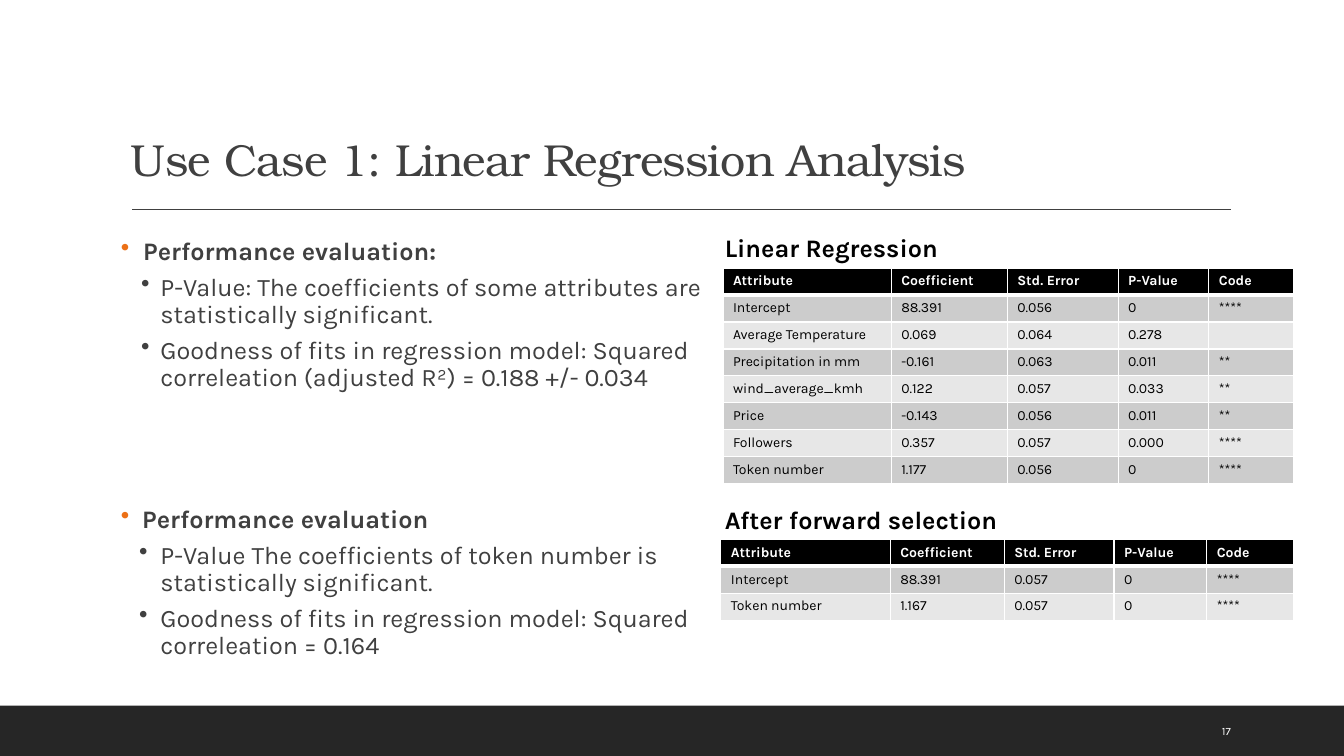
from lxml import etree
from pptx import Presentation
from pptx.dml.color import RGBColor
from pptx.enum.shapes import MSO_CONNECTOR, MSO_SHAPE
from pptx.enum.text import MSO_ANCHOR as Anchor
from pptx.oxml.ns import qn
from pptx.util import Inches, Pt

COLORS = {
    "text": "404040", "black": "000000", "white": "FFFFFF", "footer": "262626",
    "bullet": "EC7016", "dark_row": "CCCCCC", "light_row": "E7E7E7",
}
BODY_FONT = "Karla"
TITLE_FONT = "TeX Gyre Bonum"

HEADER = ["Attribute", "Coefficient", "Std. Error", "P-Value", "Code"]
REGRESSION_ROWS = [
    HEADER,
    ["Intercept", "88.391", "0.056", "0", "****"],
    ["Average Temperature", "0.069", "0.064", "0.278", ""],
    ["Precipitation in mm", "-0.161", "0.063", "0.011", "**"],
    ["wind_average_kmh", "0.122", "0.057", "0.033", "**"],
    ["Price", "-0.143", "0.056", "0.011", "**"],
    ["Followers", "0.357", "0.057", "0.000", "****"],
    ["Token number", "1.177", "0.056", "0", "****"],
]
SELECTION_ROWS = [
    HEADER,
    ["Intercept", "88.391", "0.057", "0", "****"],
    ["Token number", "1.167", "0.057", "0", "****"],
]


def rgb(name):
    return RGBColor.from_string(COLORS[name])


def add_run(paragraph, text, size, color, bold=False, font=BODY_FONT):
    run = paragraph.add_run()
    run.text = text
    run.font.name = font
    run.font.size = Pt(size)
    run.font.bold = bold
    run.font.color.rgb = rgb(color)
    return run


def add_text_frame(slide, left, top, width, height, anchor=Anchor.TOP):
    box = slide.shapes.add_textbox(Inches(left), Inches(top), Inches(width), Inches(height))
    frame = box.text_frame
    frame.word_wrap = True
    frame.vertical_anchor = anchor
    return frame


def add_label(slide, text, left, top, width, size, color, bold=False, anchor=Anchor.TOP):
    frame = add_text_frame(slide, left, top, width, 0.4, anchor)
    add_run(frame.paragraphs[0], text, size, color, bold)


def add_title(slide, text):
    frame = add_text_frame(slide, 1.2, 0.31, 11, 1.59, Anchor.BOTTOM)
    paragraph = frame.paragraphs[0]
    paragraph.line_spacing = 0.9
    run = add_run(paragraph, text, 32, "text", font=TITLE_FONT)
    run.font._element.set("spc", "-50")


def set_bullet(paragraph, margin, hanging, color):
    properties = paragraph._p.get_or_add_pPr()
    properties.set("marL", str(Inches(margin)))
    properties.set("indent", str(-Inches(hanging)))
    bullet_color = etree.SubElement(properties, qn("a:buClr"))
    etree.SubElement(bullet_color, qn("a:srgbClr"), val=COLORS[color])
    etree.SubElement(properties, qn("a:buChar"), char="•")


def add_bullets(slide, top, heading, points, heading_indent, point_hanging):
    frame = add_text_frame(slide, 1.2, top, 5.89, 1.6)
    frame.margin_left = frame.margin_right = 0
    for index, text in enumerate([heading, *points]):
        is_heading = index == 0
        paragraph = frame.paragraphs[0] if is_heading else frame.add_paragraph()
        if is_heading:
            set_bullet(paragraph, heading_indent, heading_indent, "bullet")
        else:
            paragraph.level = 1
            set_bullet(paragraph, 0.39, point_hanging, "text")
        paragraph.line_spacing = 0.9
        paragraph.space_after = Pt(6)
        add_run(paragraph, text, 18, "text", is_heading)


def set_borders(cell, row_index):
    # The rule under the header row is thicker than the rest
    widths = {"L": 1, "R": 1, "T": 3 if row_index == 1 else 1, "B": 3 if row_index == 0 else 1}
    properties = cell._tc.get_or_add_tcPr()
    for side, width in widths.items():
        line = etree.SubElement(properties, qn(f"a:ln{side}"), w=str(Pt(width)))
        fill = etree.SubElement(line, qn("a:solidFill"))
        etree.SubElement(fill, qn("a:srgbClr"), val=COLORS["white"])


def fill_cell(cell, text, row_index):
    is_header = row_index == 0
    set_borders(cell, row_index)
    cell.fill.solid()
    cell.fill.fore_color.rgb = rgb(
        "black" if is_header else "dark_row" if row_index % 2 else "light_row")
    paragraph = cell.text_frame.paragraphs[0]
    if text:
        add_run(paragraph, text, 10, "white" if is_header else "black", is_header)
    else:
        # Keeps an empty cell from stretching its row
        etree.SubElement(paragraph._p, qn("a:endParaRPr"), sz="1000")


def add_result_table(slide, rows, left, top, height, column_widths):
    table = slide.shapes.add_table(
        len(rows), len(column_widths), Inches(left), Inches(top),
        Inches(sum(column_widths)), Inches(height)).table
    for column, width in zip(table.columns, column_widths):
        column.width = Inches(width)
    for row_index, values in enumerate(rows):
        for column_index, text in enumerate(values):
            fill_cell(table.cell(row_index, column_index), text, row_index)


def add_footer_bar(slide):
    bar = slide.shapes.add_shape(
        MSO_SHAPE.RECTANGLE, 0, Inches(7), Inches(13.33), Inches(0.5))
    bar.shadow.inherit = False
    bar.fill.solid()
    bar.fill.fore_color.rgb = rgb("footer")
    bar.line.fill.background()


def add_title_rule(slide):
    rule = slide.shapes.add_connector(
        MSO_CONNECTOR.STRAIGHT, Inches(1.31), Inches(2.08), Inches(12.21), Inches(2.08))
    rule.line.color.rgb = rgb("text")
    rule.line.width = Pt(1)
    etree.SubElement(rule._element.spPr, qn("a:effectLst"))


def main():
    presentation = Presentation()
    presentation.slide_width = Inches(13.33)
    presentation.slide_height = Inches(7.5)
    slide = presentation.slides.add_slide(presentation.slide_layouts[6])

    # Frame and title
    add_footer_bar(slide)
    add_title_rule(slide)
    add_title(slide, "Use Case 1: Linear Regression Analysis")

    # Evaluation notes
    add_bullets(slide, 2.32, "Performance evaluation:", [
        "P-Value: The coefficients of some attributes are statistically significant.",
        "Goodness of fits in regression model: Squared correleation (adjusted R²) = 0.188 +/- 0.034",
    ], 0.22, 0.19)
    add_bullets(slide, 4.98, "Performance evaluation", [
        "P-Value The coefficients of token number is statistically significant.",
        "Goodness of fits in regression model: Squared correleation = 0.164",
    ], 0.21, 0.21)

    # Result tables
    add_label(slide, "Linear Regression", 7.09, 2.26, 5.75, 18, "black", True)
    add_result_table(slide, REGRESSION_ROWS, 7.17, 2.66, 2.13, [1.67, 1.15, 1.1, 0.9, 0.84])
    add_label(slide, "After forward selection", 7.09, 4.95, 3, 18, "black", True)
    add_result_table(slide, SELECTION_ROWS, 7.15, 5.35, 0.8, [1.68, 1.13, 1.09, 0.92, 0.86])

    # Page number
    add_label(slide, "17", 12.02, 7.05, 0.85, 8, "white", anchor=Anchor.MIDDLE)

    presentation.save("out.pptx")


if __name__ == "__main__":
    main()
